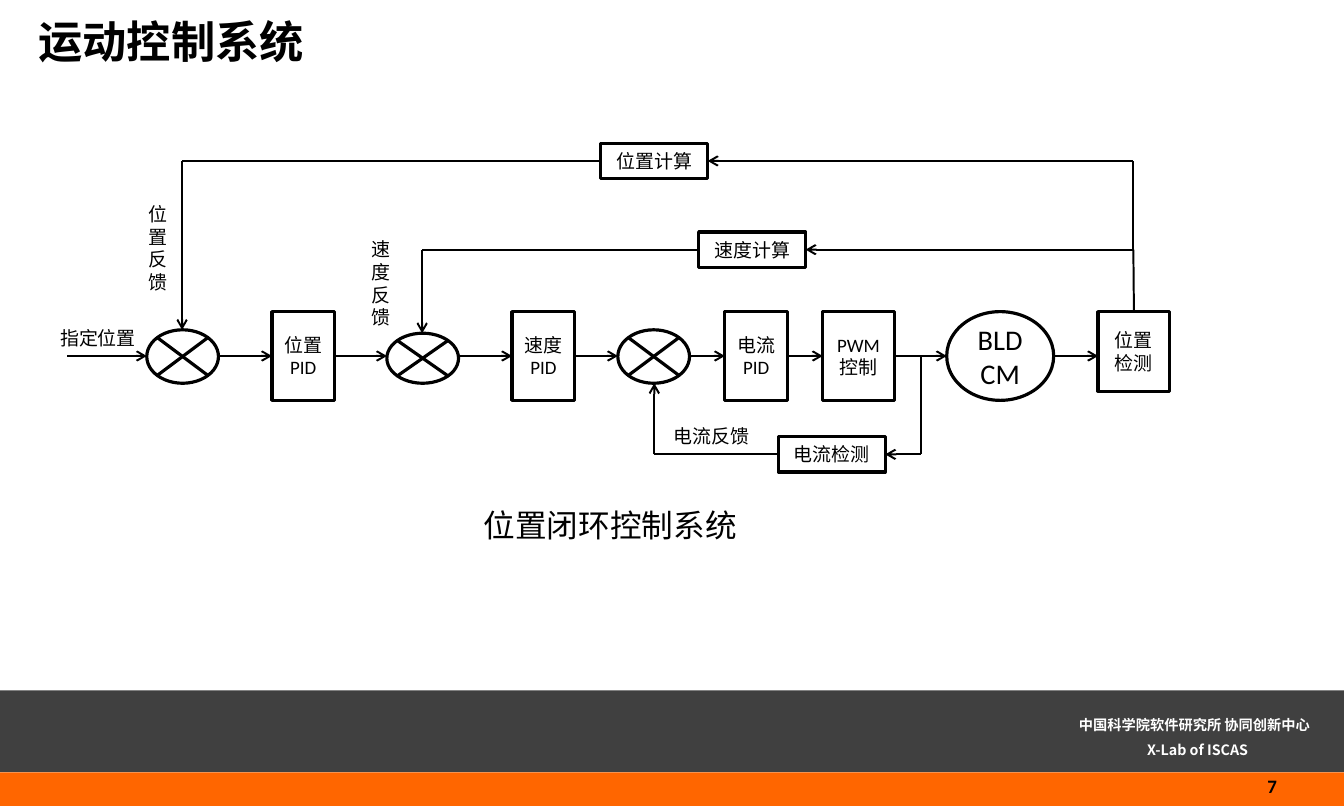
import pptx
import pptx.util
import pptx.dml.color
import pptx.enum.shapes
import pptx.enum.text
from lxml import etree
from pptx.oxml.ns import qn

Inches, Pt = pptx.util.Inches, pptx.util.Pt
SHAPE = pptx.enum.shapes.MSO_SHAPE
ALIGN = pptx.enum.text.PP_ALIGN
ANCHOR = pptx.enum.text.MSO_ANCHOR
COLORS = {"black": "000000", "white": "FFFFFF", "gray": "404040", "orange": "FF6600"}
CJK = "Noto Sans CJK SC"
TOP, LEFT, BOTTOM, RIGHT = range(4)


def color(name):
    return pptx.dml.color.RGBColor.from_string(COLORS[name])


def write(sp, lines, size, align=ALIGN.LEFT, anchor=ANCHOR.TOP, wrap=True,
          font="Calibri", ink="black", bold=False, spacing=1.0):
    """Fill a shape with one paragraph per line, setting Latin and East Asian fonts."""
    tf = sp.text_frame
    tf.word_wrap, tf.vertical_anchor = wrap, anchor
    for i, line in enumerate(lines):
        p = tf.paragraphs[0] if i == 0 else tf.add_paragraph()
        p.alignment, p.line_spacing = align, spacing
        r = p.add_run()
        r.text = line
        for name, value in {"name": font, "size": Pt(size), "bold": bold}.items():
            setattr(r.font, name, value)
        r.font.color.rgb = color(ink)
        etree.SubElement(r.font._element, qn("a:ea")).set("typeface", CJK)


# The page measures 30 by 18 centimetres
prs = pptx.Presentation()
prs.slide_width, prs.slide_height = Inches(30 / 2.54), Inches(18 / 2.54)
s = prs.slides.add_slide(prs.slide_layouts[6])

# Footer bands
for top, height, fill in [(6.07, 0.72, "gray"), (6.79, 0.31, "orange")]:
    sp = s.shapes.add_shape(SHAPE.RECTANGLE, 0, Inches(top), Inches(11.82), Inches(height))
    sp.shadow.inherit = False
    sp.fill.solid()
    sp.fill.fore_color.rgb = color(fill)
    sp.line.fill.background()

# Title, footer and diagram labels
texts = [
    ((9.21, 6.17, 2.6, 0.56), ["中国科学院软件研究所 协同创新中心 ", " X-Lab of ISCAS"], 9,
     dict(align=ALIGN.CENTER, font=CJK, ink="white", bold=True, spacing=1.5)),
    ((8.66, 6.72, 2.66, 0.38), ["7"], 12,
     dict(align=ALIGN.RIGHT, anchor=ANCHOR.MIDDLE, bold=True)),
    ((0.24, 0.08, 10.55, 0.57), ["运动控制系统"], 28, dict(bold=True)),
]
labels = [
    ((0.43, 2.82, 0.88, 0.3), ["指定位置"], 12, dict(wrap=False)),
    ((1.21, 1.73, 0.37, 0.91), ["位置", "反", "馈"], 12, {}),
    ((3.17, 2.04, 0.37, 0.91), ["速", "度", "反", "馈"], 12, {}),
    ((5.82, 3.68, 0.88, 0.3), ["电流反馈"], 12, {}),
    ((4.15, 4.4, 2.45, 0.44), ["位置闭环控制系统"], 20, dict(wrap=False)),
]
for box, lines, size, style in texts + labels:
    sp = s.shapes.add_textbox(*map(Inches, box))
    write(sp, lines, size, **style)
    if (box, lines, size, style) in labels:
        sp.fill.solid()
        sp.fill.fore_color.rgb = color("white")

# Blocks of the control loop
RECT, OVAL, SUM = (SHAPE.RECTANGLE, SHAPE.FLOWCHART_CONNECTOR,
                   SHAPE.FLOWCHART_SUMMING_JUNCTION)
blocks = [
    ("位置求和", SUM, (1.29, 2.9, 0.63, 0.47)),
    ("位置PID", RECT, (2.39, 2.74, 0.55, 0.78)),
    ("速度求和", SUM, (3.4, 2.93, 0.63, 0.44)),
    ("速度PID", RECT, (4.5, 2.74, 0.55, 0.78)),
    ("电流求和", SUM, (5.43, 2.9, 0.63, 0.47)),
    ("电流PID", RECT, (6.37, 2.74, 0.55, 0.78)),
    ("PWM控制", RECT, (7.23, 2.74, 0.63, 0.78)),
    ("BLDCM", OVAL, (8.32, 2.74, 0.94, 0.78)),
    ("位置检测", RECT, (9.65, 2.74, 0.63, 0.7)),
    ("位置计算", RECT, (5.28, 1.26, 0.94, 0.31)),
    ("速度计算", RECT, (6.14, 2.04, 0.94, 0.31)),
    ("电流检测", RECT, (6.84, 3.84, 0.94, 0.31)),
]
nodes = {}
middle = {}
for name, kind, box in blocks:
    sp = nodes[name] = s.shapes.add_shape(kind, *map(Inches, box))
    middle[name] = box[1] + box[3] / 2
    sp.shadow.inherit = False
    sp.fill.background()
    sp.line.color.rgb = color("black")
    sp.line.width = Pt(2)
    if kind != SUM:
        write(sp, [name], 18 if kind == OVAL else 12, ALIGN.CENTER, ANCHOR.MIDDLE)

# Wires: each end is a point or a (block, side) pair; the last value asks for an arrowhead
AXIS = middle["位置PID"]
POSITION, SPEED, CURRENT = (middle[name] for name in ("位置计算", "速度计算", "电流检测"))
wires = [
    ((0.59, AXIS), (1.29, AXIS), True),
    ((1.92, AXIS), ("位置PID", LEFT), True),
    (("位置PID", RIGHT), (3.4, AXIS), True),
    ((4.03, AXIS), ("速度PID", LEFT), True),
    (("速度PID", RIGHT), (5.43, AXIS), True),
    ((6.06, AXIS), ("电流PID", LEFT), True),
    (("电流PID", RIGHT), ("PWM控制", LEFT), True),
    (("PWM控制", RIGHT), (8.32, AXIS), True),
    ((9.26, AXIS), (9.65, AXIS), True),
    # speed feedback
    (("位置检测", TOP), (9.96, SPEED), False),
    ((9.96, SPEED), ("速度计算", RIGHT), True),
    (("速度计算", LEFT), (3.71, SPEED), False),
    ((3.71, SPEED), (3.71, 2.93), True),
    # position feedback
    ((9.96, SPEED), (9.96, POSITION), False),
    ((9.96, POSITION), ("位置计算", RIGHT), True),
    (("位置计算", LEFT), (1.6, POSITION), False),
    ((1.6, POSITION), (1.6, 2.9), True),
    # current feedback
    ((8.09, AXIS), (8.09, CURRENT), False),
    ((8.09, CURRENT), ("电流检测", RIGHT), True),
    (("电流检测", LEFT), (5.75, CURRENT), False),
    ((5.75, CURRENT), (5.75, 3.37), True),
]
for start, end, arrow in wires:
    joined = [pt[0] in nodes for pt in (start, end)]
    points = [(0, 0) if j else pt for j, pt in zip(joined, (start, end))]
    wire = s.shapes.add_connector(pptx.enum.shapes.MSO_CONNECTOR.STRAIGHT,
                                  *map(Inches, points[0] + points[1]))
    if joined[0]:
        wire.begin_connect(nodes[start[0]], start[1])
    if joined[1]:
        wire.end_connect(nodes[end[0]], end[1])
    wire.line.color.rgb = color("black")
    wire.line.width = Pt(1.25)
    if arrow:
        etree.SubElement(wire.line._get_or_add_ln(), qn("a:tailEnd")).set("type", "arrow")
    etree.SubElement(wire._element.spPr, qn("a:effectLst"))

prs.save("out.pptx")
